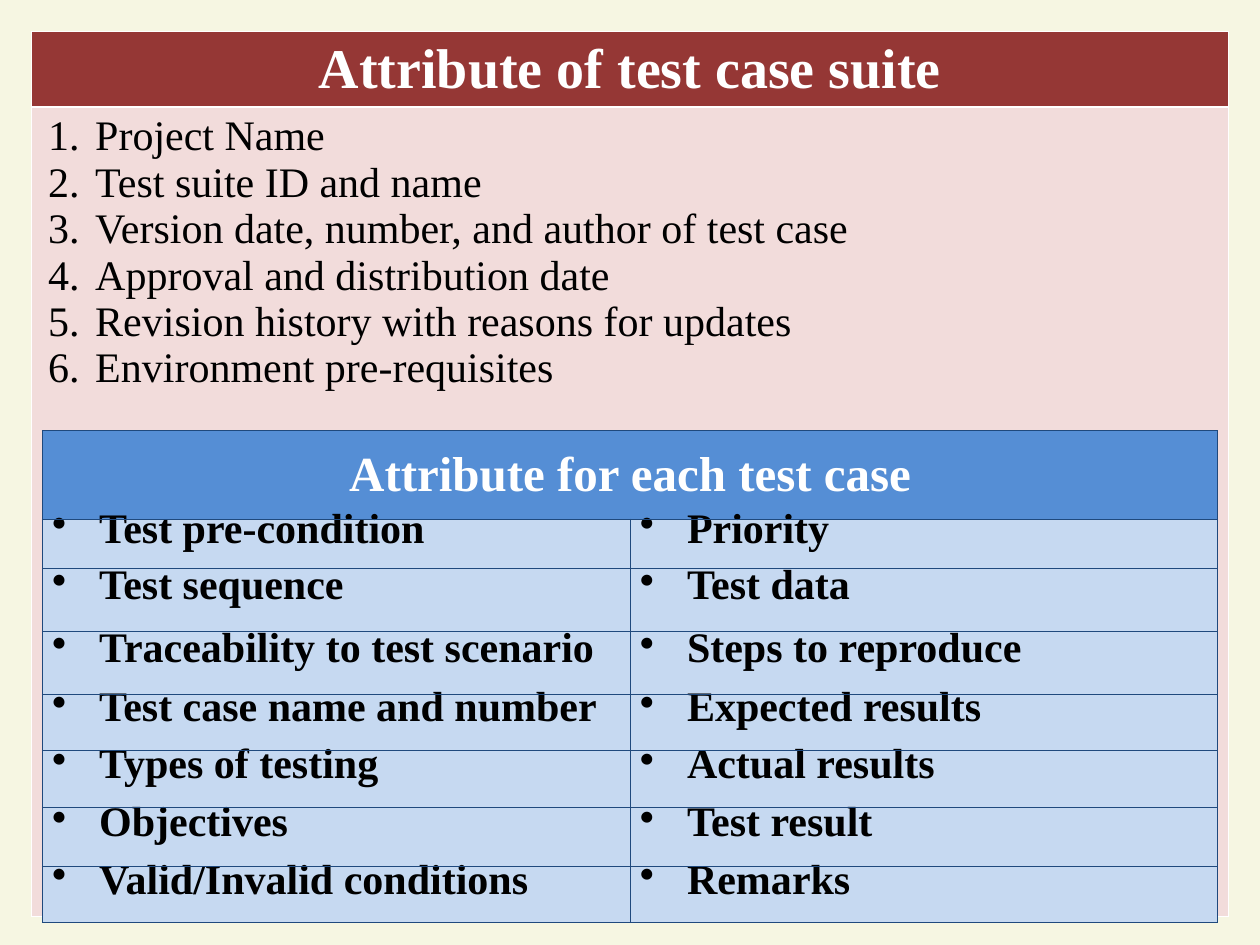
from lxml.etree import SubElement
from pptx import Presentation
from pptx.dml.color import RGBColor
from pptx.enum.text import MSO_ANCHOR, PP_ALIGN
from pptx.oxml.ns import qn
from pptx.util import Cm, Pt

CREAM = RGBColor(0xF6, 0xF6, 0xE2)
MAROON = RGBColor(0x95, 0x37, 0x35)
PINK = RGBColor(0xF2, 0xDC, 0xDB)
BLUE = RGBColor(0x55, 0x8E, 0xD5)
PALE_BLUE = RGBColor(0xC6, 0xD9, 0xF1)
NAVY = RGBColor(0x1F, 0x49, 0x7D)
WHITE = RGBColor(0xFF, 0xFF, 0xFF)
BLACK = RGBColor(0, 0, 0)

SUITE_ATTRIBUTES = [
    "Project Name",
    "Test suite ID and name",
    "Version date, number, and author of test case",
    "Approval and distribution date",
    "Revision history with reasons for updates",
    "Environment pre-requisites",
]
# Left attribute, right attribute, row height in cm
CASE_ATTRIBUTES = [
    ("Test pre-condition", "Priority", 0.99),
    ("Test sequence", "Test data", 1.27),
    ("Traceability to test scenario", "Steps to reproduce", 1.27),
    ("Test case name and number", "Expected results", 1.14),
    ("Types of testing", "Actual results", 1.14),
    ("Objectives", "Test result", 1.19),
    ("Valid/Invalid conditions", "Remarks", 1.14),
]


def style_cell(cell, fill, line, side_margin, widths=(0.45, 0.45, 0.45, 0.45)):
    """Set margins, the left, right, top and bottom borders, and the fill."""
    cell.margin_left = cell.margin_right = Cm(side_margin)
    cell.margin_top = cell.margin_bottom = Cm(0.13)
    properties = cell._tc.get_or_add_tcPr()
    for side, width in zip("LRTB", widths):
        border = SubElement(properties, qn(f"a:ln{side}"), w=str(Pt(width)))
        color = SubElement(border, qn("a:solidFill"))
        SubElement(color, qn("a:srgbClr"), val=str(line))
    cell.fill.solid()
    cell.fill.fore_color.rgb = fill


def write(paragraph, text, size, color, bold, bullet=None, **bullet_attributes):
    """Write one paragraph, with a hanging bullet or number if one is given."""
    paragraph.text = text
    if bullet:
        properties = paragraph._p.get_or_add_pPr()
        properties.set("marL", str(Cm(0.95)))
        properties.set("indent", str(-Cm(0.95)))
        bullet_color = SubElement(properties, qn("a:buClr"))
        SubElement(bullet_color, qn("a:srgbClr"), val=str(color))
        SubElement(properties, qn(bullet), **bullet_attributes)
    else:
        paragraph.alignment = PP_ALIGN.CENTER
    font = paragraph.font
    font.name = "Times New Roman"
    font.size = Pt(size)
    font.bold = bold
    font.color.rgb = color


prs = Presentation()
prs.slide_width, prs.slide_height = Cm(25.4), Cm(19.05)
slide = prs.slides.add_slide(prs.slide_layouts[6])
slide.background.fill.solid()
slide.background.fill.fore_color.rgb = CREAM

# Test suite table: heading above a numbered list
suite = slide.shapes.add_table(2, 1, Cm(0.64), Cm(0.64), Cm(24.13), Cm(17.78)).table
suite.first_row = suite.horz_banding = False
suite.rows[0].height, suite.rows[1].height = Cm(1.46), Cm(16.32)

suite_heading, suite_list = suite.cell(0, 0), suite.cell(1, 0)
style_cell(suite_heading, MAROON, WHITE, 0.33, (0.45, 0.45, 0.45, 1.47))
suite_heading.vertical_anchor = MSO_ANCHOR.MIDDLE
write(suite_heading.text_frame.paragraphs[0], "Attribute of test case suite", 32, WHITE, True)

style_cell(suite_list, PINK, WHITE, 0.33, (0.45, 0.45, 1.47, 0.45))
for number, attribute in enumerate(SUITE_ATTRIBUTES):
    frame = suite_list.text_frame
    paragraph = frame.add_paragraph() if number else frame.paragraphs[0]
    write(paragraph, attribute, 24, BLACK, False, "a:buAutoNum", type="arabicPeriod")

# Test case table: merged heading above two bulleted columns
cases = slide.shapes.add_table(
    len(CASE_ATTRIBUTES) + 1, 2, Cm(0.85), Cm(8.68), Cm(23.7), Cm(9.92)
).table
cases.first_row = cases.horz_banding = False
cases.rows[0].height = Cm(1.78)
for cell in cases.rows[0].cells:
    style_cell(cell, BLUE, NAVY, 0.2)
case_heading = cases.cell(0, 0)
case_heading.merge(cases.cell(0, 1))
case_heading.vertical_anchor = MSO_ANCHOR.MIDDLE
write(case_heading.text_frame.paragraphs[0], "Attribute for each test case", 28, WHITE, True)

for row, (*attributes, height) in enumerate(CASE_ATTRIBUTES, start=1):
    cases.rows[row].height = Cm(height)
    for column, attribute in enumerate(attributes):
        cell = cases.cell(row, column)
        style_cell(cell, PALE_BLUE, NAVY, 0.2)
        cell.vertical_anchor = MSO_ANCHOR.MIDDLE
        paragraph = cell.text_frame.paragraphs[0]
        paragraph.line_spacing = Pt(10)
        write(paragraph, attribute, 24, BLACK, True, "a:buChar", char="•")

prs.save("out.pptx")
